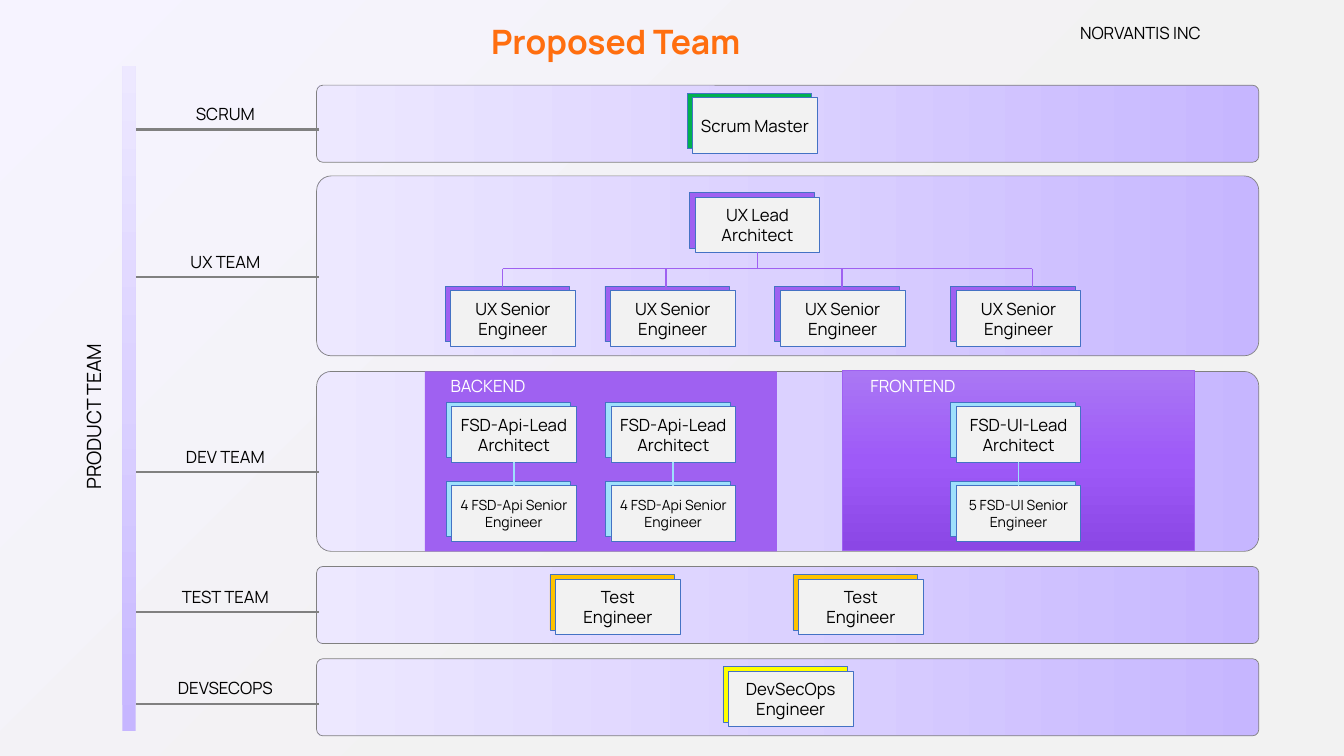
import pptx
import pptx.util
import pptx.dml.color
import pptx.enum.shapes
import pptx.enum.text
import pptx.oxml.ns
from lxml import etree

Inches = pptx.util.Inches
Pt = pptx.util.Pt
SHAPE = pptx.enum.shapes.MSO_SHAPE
ALIGN = pptx.enum.text.PP_ALIGN
ANCHOR = pptx.enum.text.MSO_ANCHOR
AUTO_SIZE = pptx.enum.text.MSO_AUTO_SIZE
qn = pptx.oxml.ns.qn

FONT = "Manrope"
COLOURS = {
    "text": "000000", "white": "FFFFFF", "title": "FF6E0F", "card": "F2F2F2",
    "card_edge": "4472C4", "rule": "808080", "purple": "9F61F1", "sky": "9EE0FC",
    "green": "00B050", "amber": "FEC300", "yellow": "FFFF00",
}
LILAC = [(0, "C6B6FF"), (50, "DBD1FF"), (100, "EDE8FF")]
VIOLET = [(0, "AA77F4"), (50, "9E5AF8"), (100, "8B47E5")]
BACKDROP = [(0, "F6F3FF"), (61, "F2F2F2")]

CARD_W, CARD_H = 2.47, 1.1
TAB_DX, TAB_DY = 0.11, 0.09
BAND_LEFT, BAND_W = 6.28, 18.69
# label, band top, band height, rule height on the slide
TEAMS = [
    ("SCRUM", 1.69, 1.53, 2.57),
    ("UX TEAM", 3.49, 3.57, 5.5),
    ("DEV TEAM", 7.37, 3.57, 9.37),
    ("TEST TEAM", 11.24, 1.53, 12.15),
    ("DEVSECOPS", 13.07, 1.53, 13.96),
]
UX_BUS_Y = 5.33


def rgb(name):
    return pptx.dml.color.RGBColor.from_string(COLOURS[name])


def set_gradient(fill, element, stops, angle):
    """Fill with any number of stops; angle is counter-clockwise."""
    fill.gradient()
    fill.gradient_angle = angle
    stop_list = next(element.iter(qn("a:gsLst")))
    for stop in list(stop_list):
        stop_list.remove(stop)
    for percent, colour in stops:
        stop = etree.SubElement(stop_list, qn("a:gs"), pos=str(percent * 1000))
        etree.SubElement(stop, qn("a:srgbClr"), val=colour)


def set_line(line, colour, width):
    line.color.rgb = rgb(colour)
    line.width = Pt(width)


def format_text(frame, text, size, colour="text", align=ALIGN.CENTER):
    frame.word_wrap = True
    frame.text = text
    for paragraph in frame.paragraphs:
        paragraph.alignment = align
        paragraph.font.name = FONT
        paragraph.font.size = Pt(size)
        paragraph.font.color.rgb = rgb(colour)


def add_panel(shapes, kind, left, top, width, height, fill=None, line=None, line_width=1):
    panel = shapes.add_shape(kind, Inches(left), Inches(top), Inches(width), Inches(height))
    panel.shadow.inherit = False
    if fill:
        panel.fill.solid()
        panel.fill.fore_color.rgb = rgb(fill)
    if line:
        set_line(panel.line, line, line_width)
    else:
        panel.line.fill.background()
    return panel


def add_label(slide, text, left, top, width=3.68, height=0.5, size=24, colour="text"):
    label = slide.shapes.add_textbox(Inches(left), Inches(top), Inches(width), Inches(height))
    format_text(label.text_frame, text, size, colour)
    label.text_frame.auto_size = AUTO_SIZE.SHAPE_TO_FIT_TEXT
    return label


def add_rule(slide, x1, y1, x2, y2, colour, width=2.25):
    rule = slide.shapes.add_connector(
        pptx.enum.shapes.MSO_CONNECTOR.STRAIGHT,
        Inches(x1), Inches(y1), Inches(x2), Inches(y2))
    set_line(rule.line, colour, width)
    etree.SubElement(rule._element.spPr, qn("a:effectLst"))
    return rule


def add_card(slide, text, left, top, accent, size=24):
    """Role card with a coloured card peeping out behind it; returns the front."""
    card = slide.shapes.add_group_shape().shapes
    add_panel(card, SHAPE.RECTANGLE, left - TAB_DX, top - TAB_DY, CARD_W, CARD_H,
              accent, "card_edge")
    front = add_panel(card, SHAPE.RECTANGLE, left, top, CARD_W, CARD_H, "card", "card_edge")
    format_text(front.text_frame, text, size)
    front.text_frame.vertical_anchor = ANCHOR.MIDDLE
    return front


def add_title(slide):
    title = slide.shapes.title
    title.left, title.top = Inches(9.64), Inches(0.36)
    title.width, title.height = Inches(8.2), Inches(0.91)
    format_text(title.text_frame, "Proposed Team", 48, "title", ALIGN.LEFT)
    title.text_frame.paragraphs[0].font.bold = True
    title.text_frame.vertical_anchor = ANCHOR.TOP
    title.text_frame.auto_size = AUTO_SIZE.NONE


def add_team_bands(slide):
    spine = add_panel(slide.shapes, SHAPE.RECTANGLE, 2.43, 1.3, 0.26, 13.2)
    set_gradient(spine.fill, spine._element, LILAC, 90)
    add_label(slide, "PRODUCT TEAM", -2.47, 7.98, 8.65, 0.57, 28).rotation = 270
    for name, top, height, rule_y in TEAMS:
        band = add_panel(slide.shapes, SHAPE.ROUNDED_RECTANGLE, BAND_LEFT, top,
                         BAND_W, height, line="rule")
        band.adjustments[0] = 0.082
        set_gradient(band.fill, band._element, LILAC, 180)
        add_rule(slide, 2.7, rule_y, 6.33, rule_y, "rule", 3)
        add_label(slide, name, 2.63, rule_y - 0.56)


def add_ux_team(slide):
    lead = add_card(slide, "UX Lead\nArchitect", 13.79, 3.91, "purple")
    for left in (8.94, 12.11, 15.48, 18.97):
        add_card(slide, "UX Senior\nEngineer", left, 5.77, "purple")
    drops = (9.97, 13.21, 16.7, 20.48)
    add_rule(slide, drops[0], UX_BUS_Y, drops[-1], UX_BUS_Y, "purple")
    for x in drops:
        add_rule(slide, x, UX_BUS_Y, x, 5.76, "purple")
    lead_x = 13.79 + CARD_W / 2
    add_rule(slide, lead_x, 5.01, lead_x, UX_BUS_Y, "purple").begin_connect(lead, 2)


def add_dev_team(slide):
    add_panel(slide.shapes, SHAPE.RECTANGLE, 8.43, 7.37, 6.98, 3.57, "purple")
    frontend = add_panel(slide.shapes, SHAPE.RECTANGLE, 16.71, 7.35, 6.98, 3.57,
                         line="purple", line_width=0.5)
    set_gradient(frontend.fill, frontend._element, VIOLET, 270)
    add_label(slide, "BACKEND", 7.84, 7.4, colour="white")
    add_label(slide, "FRONTEND", 16.27, 7.4, colour="white")
    for left, skill, count in ((8.96, "Api", 4), (12.12, "Api", 4), (18.97, "UI", 5)):
        lead = add_card(slide, f"FSD-{skill}-Lead\nArchitect", left, 8.07, "sky")
        engineers = add_card(slide, f"{count} FSD-{skill} Senior\nEngineer", left, 9.64, "sky", 20)
        middle = left + CARD_W / 2
        link = add_rule(slide, middle, 9.17, middle, 9.64, "sky")
        link.begin_connect(lead, 2)
        link.end_connect(engineers, 0)


def main():
    deck = pptx.Presentation()
    deck.slide_width, deck.slide_height = Inches(26.66), Inches(15)
    slide = deck.slides.add_slide(deck.slide_layouts[5])
    set_gradient(slide.background.fill, slide._element, BACKDROP, 315)
    add_title(slide)
    add_label(slide, "NORVANTIS INC", 20.78, 0.41)
    add_team_bands(slide)
    add_card(slide, "Scrum Master", 13.74, 1.94, "green")
    add_ux_team(slide)
    add_dev_team(slide)
    for left in (11.02, 15.84):
        add_card(slide, "Test\nEngineer", left, 11.49, "amber")
    add_card(slide, "DevSecOps Engineer", 14.45, 13.32, "yellow")
    deck.save("out.pptx")


if __name__ == "__main__":
    main()
